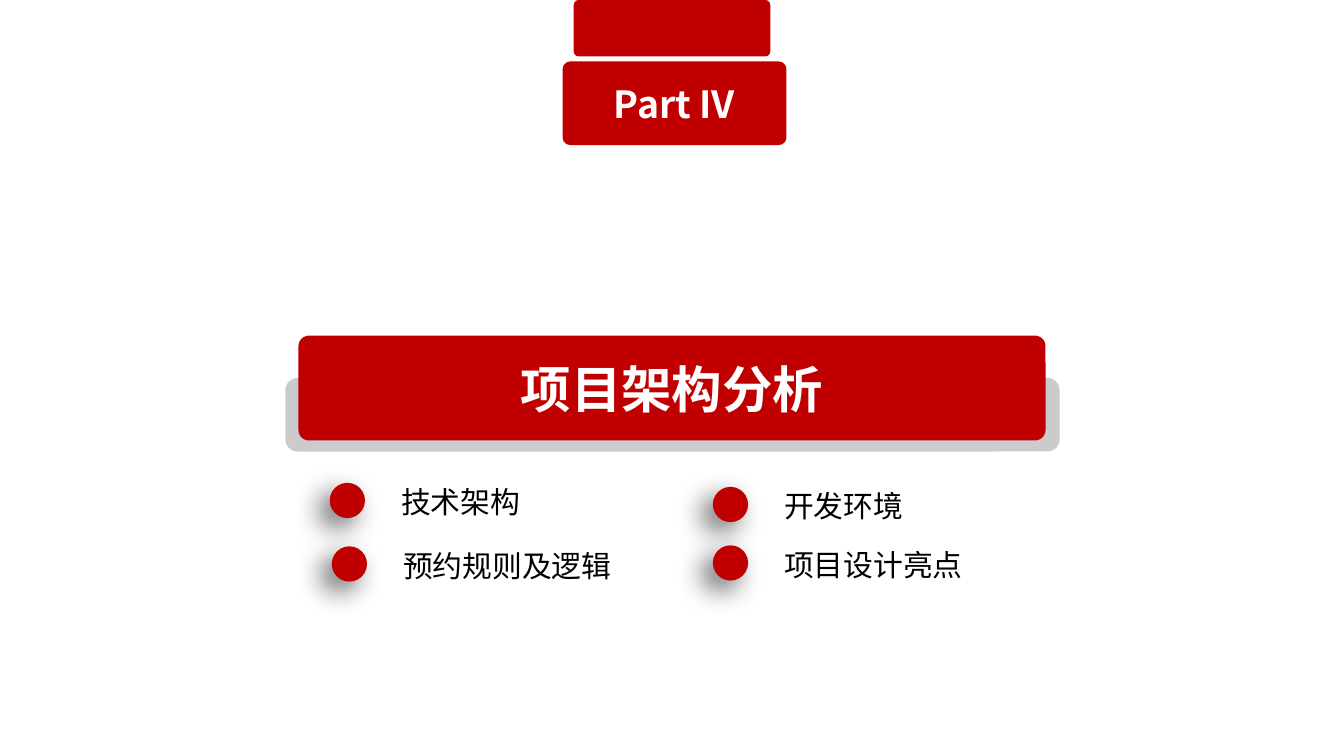
from lxml import etree
from pptx import Presentation
from pptx.dml.color import RGBColor
from pptx.enum.shapes import MSO_SHAPE
from pptx.enum.text import MSO_ANCHOR, MSO_AUTO_SIZE, PP_ALIGN
from pptx.oxml import parse_xml
from pptx.oxml.ns import nsdecls, qn
from pptx.util import Inches, Pt

PART = "Part IV"
HEADING = "项目架构分析"
TOPICS = [
    ("技术架构", 3.27, 4.79, 2.12),
    ("开发环境", 7.07, 4.83, 3.78),
    ("预约规则及逻辑", 3.29, 5.42, 2.57),
    ("项目设计亮点", 7.07, 5.41, 3.78),
]

RED = RGBColor(0xC0, 0x00, 0x00)
GREY = RGBColor(0xCB, 0xCB, 0xCB)
WHITE = RGBColor(0xFF, 0xFF, 0xFF)
BLACK = RGBColor(0x00, 0x00, 0x00)
FONT = "Noto Sans CJK SC"

DOT_SIZE = 0.35
LABEL_DX, LABEL_DY, LABEL_HEIGHT = 0.61, -0.04, 0.46
HEADING_BOX = [Inches(n) for n in (2.96, 3.33, 7.41, 1.04)]

DOT_SHADOW = (
    f'<a:effectLst {nsdecls("a")}>'
    f'<a:outerShdw blurRad="{Pt(20)}" dist="{Pt(10)}" dir="{135 * 60000}" '
    'algn="tr" rotWithShape="0">'
    '<a:srgbClr val="000000"><a:alpha val="60000"/></a:srgbClr>'
    '</a:outerShdw></a:effectLst>'
)


def write_text(frame, text, *, size, color, bold=False, align=PP_ALIGN.LEFT,
               anchor=MSO_ANCHOR.TOP, auto_size=MSO_AUTO_SIZE.NONE):
    """Put one formatted line of text into a text frame."""
    frame.word_wrap = True
    frame.auto_size = auto_size
    frame.vertical_anchor = anchor
    paragraph = frame.paragraphs[0]
    paragraph.alignment = align
    run = paragraph.add_run()
    run.text = text
    run.font.size = Pt(size)
    run.font.bold = bold
    run.font.color.rgb = color
    run.font.name = FONT
    east_asian = etree.SubElement(run.font._element, qn("a:ea"))
    east_asian.set("typeface", FONT)


def add_block(slide, preset, box, color, corner=None):
    """Add a filled shape without outline or shadow."""
    block = slide.shapes.add_shape(preset, *box)
    block.shadow.inherit = False
    block.fill.solid()
    block.fill.fore_color.rgb = color
    block.line.fill.background()
    if corner is not None:
        block.adjustments[0] = corner
    return block


def add_topic(slide, topic, left, top, width):
    """Add a shadowed dot with its topic label."""
    dot_box = [Inches(n) for n in (left, top, DOT_SIZE, DOT_SIZE)]
    dot = add_block(slide, MSO_SHAPE.OVAL, dot_box, RED)
    properties = dot._element.spPr
    properties.replace(properties.find(qn("a:effectLst")), parse_xml(DOT_SHADOW))
    label = slide.shapes.add_textbox(Inches(left + LABEL_DX), Inches(top + LABEL_DY),
                                     Inches(width), Inches(LABEL_HEIGHT))
    write_text(label.text_frame, topic, size=21.3, color=BLACK,
               auto_size=MSO_AUTO_SIZE.SHAPE_TO_FIT_TEXT)


def main():
    """Build the section slide and save it."""
    deck = Presentation()
    deck.slide_width, deck.slide_height = Inches(13.33), Inches(7.5)
    slide = deck.slides.add_slide(deck.slide_layouts[5])
    rounded = MSO_SHAPE.ROUNDED_RECTANGLE

    base_box = [Inches(n) for n in (2.83, 3.75, 7.68, 0.73)]
    add_block(slide, rounded, base_box, GREY)
    banner = add_block(slide, rounded, HEADING_BOX, RED, corner=0.1)

    heading = slide.shapes.title
    heading.left, heading.top, heading.width, heading.height = HEADING_BOX
    write_text(heading.text_frame, HEADING, size=36, color=WHITE, bold=True,
               align=PP_ALIGN.CENTER, anchor=MSO_ANCHOR.MIDDLE)
    banner._element.addnext(heading._element)

    tab_box = [Inches(n) for n in (5.69, 0, 1.95, 0.56)]
    add_block(slide, rounded, tab_box, RED, corner=0.09)
    part_box = [Inches(n) for n in (5.58, 0.61, 2.22, 0.83)]
    part = add_block(slide, rounded, part_box, RED, corner=0.09)
    write_text(part.text_frame, PART, size=26.7, color=WHITE, bold=True,
               align=PP_ALIGN.CENTER, anchor=MSO_ANCHOR.MIDDLE)

    for topic in TOPICS:
        add_topic(slide, *topic)

    deck.save("out.pptx")


if __name__ == "__main__":
    main()
